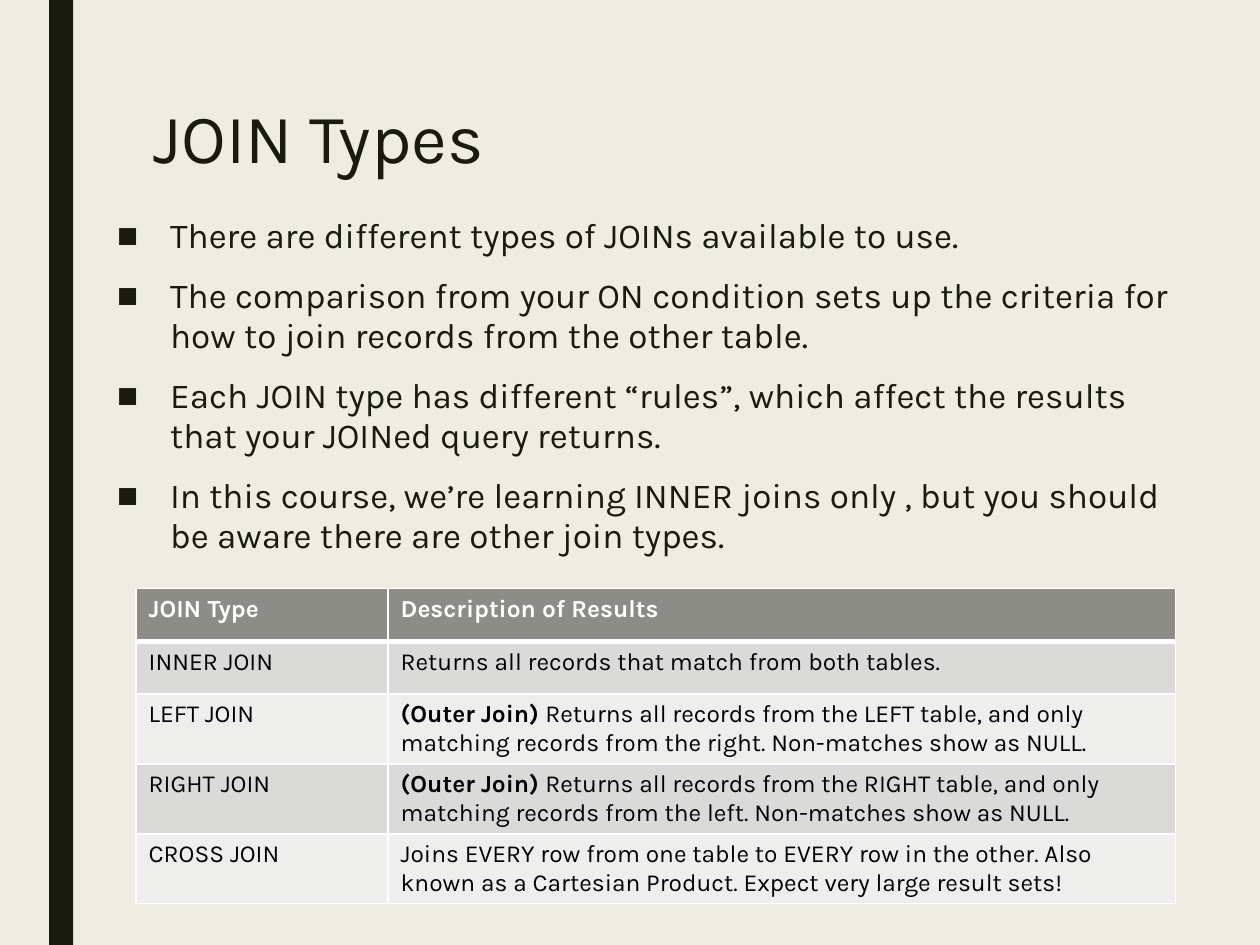
"""Build the JOIN Types slide with a bulleted list and a table of join rules."""
from dataclasses import dataclass

from lxml.etree import SubElement
from pptx import Presentation
from pptx.dml.color import RGBColor
from pptx.enum.shapes import MSO_SHAPE
from pptx.enum.text import MSO_ANCHOR, MSO_AUTO_SIZE, PP_ALIGN
from pptx.oxml.ns import qn
from pptx.util import Inches, Pt

COLORS = {
    "background": "EFEDE3",
    "ink": "191B0E",
    "header": "8C8D86",
    "odd": "DADBD9",
    "even": "EEEEED",
    "white": "FFFFFF",
    "black": "000000",
}
FONT = "Karla"
BULLET_FORMAT = {"line_spacing": 0.94, "space_before": Pt(10), "space_after": Pt(2)}
TITLE_FORMAT = {"line_spacing": 0.89, "alignment": PP_ALIGN.LEFT}
BULLETS = [
    "There are different types of JOINs available to use.",
    "The comparison from your ON condition sets up the criteria for how to join "
    "records from the other table.",
    "Each JOIN type has different “rules”, which affect the results that your "
    "JOINed query returns.",
    "In this course, we’re learning INNER joins only , but you should be aware "
    "there are other join types.",
]


@dataclass
class JoinRow:
    name: str
    description: str
    lead: str = ""
    height: float = 0.55


ROWS = [
    JoinRow("JOIN Type", "Description of Results", height=0.42),
    JoinRow("INNER JOIN", "Returns all records that match from both tables.", height=0.42),
    JoinRow(
        "LEFT JOIN",
        "Returns all records from the LEFT table, and only matching records from "
        "the right. Non-matches show as NULL.",
        "(Outer Join) ",
    ),
    JoinRow(
        "RIGHT JOIN",
        "Returns all records from the RIGHT table, and only matching records from "
        "the left. Non-matches show as NULL.",
        "(Outer Join) ",
    ),
    JoinRow(
        "CROSS JOIN",
        "Joins EVERY row from one table to EVERY row in the other. Also known as "
        "a Cartesian Product. Expect very large result sets!",
    ),
]


def color(name: str) -> RGBColor:
    return RGBColor.from_string(COLORS[name])


def apply(target, values: dict) -> None:
    for name, value in values.items():
        setattr(target, name, value)


def place(shape, left: float, top: float, width: float, height: float) -> None:
    apply(shape, {
        "left": Inches(left), "top": Inches(top),
        "width": Inches(width), "height": Inches(height),
    })


def add_span(para, text: str, size: float, ink: str, bold: bool = False) -> None:
    span = para.add_run()
    span.text = text
    apply(span.font, {"name": FONT, "size": Pt(size), "bold": bold})
    span.font.color.rgb = color(ink)


def add_bullet(para, text: str) -> None:
    apply(para, BULLET_FORMAT)
    add_span(para, text, 20, "ink")
    properties = para._p.get_or_add_pPr()
    properties.set("marL", str(Inches(0.42)))
    properties.set("indent", str(-Inches(0.42)))
    SubElement(properties, qn("a:buFont"), typeface="Arial")
    SubElement(properties, qn("a:buChar"), char="■")


def add_borders(cell, top: float, bottom: float) -> None:
    properties = cell._tc.get_or_add_tcPr()
    for side, width in {"L": 1, "R": 1, "T": top, "B": bottom}.items():
        line = SubElement(properties, qn(f"a:ln{side}"), w=str(Pt(width)))
        fill = SubElement(line, qn("a:solidFill"))
        SubElement(fill, qn("a:srgbClr"), val=COLORS["white"])


def fill_row(table, index: int, row: JoinRow) -> None:
    is_header = index == 0
    band = "header" if is_header else "odd" if index % 2 else "even"
    ink = "white" if is_header else "black"
    table.rows[index].height = Inches(row.height)
    for column, text in enumerate((row.name, row.description)):
        cell = table.cell(index, column)
        add_borders(cell, 3 if index == 1 else 1, 3 if is_header else 1)
        cell.fill.solid()
        cell.fill.fore_color.rgb = color(band)
        para = cell.text_frame.paragraphs[0]
        if column and row.lead:
            add_span(para, row.lead, 14, ink, bold=True)
        add_span(para, text, 14, ink, bold=is_header)


def add_join_table(page) -> None:
    height = sum(row.height for row in ROWS)
    table = page.shapes.add_table(
        len(ROWS), 2, Inches(1.08), Inches(4.67), Inches(8.25), Inches(height)
    ).table
    for column, width in zip(table.columns, (2, 6.25)):
        column.width = Inches(width)
    for index, row in enumerate(ROWS):
        fill_row(table, index, row)


def add_side_bar(page) -> None:
    bar = page.shapes.add_shape(
        MSO_SHAPE.RECTANGLE, Inches(0.39), 0, Inches(0.19), Inches(7.5)
    )
    bar.shadow.inherit = False
    bar.fill.solid()
    bar.fill.fore_color.rgb = color("ink")
    bar.line.fill.background()


def add_title(page) -> None:
    title = page.shapes.title
    place(title, 1.12, 0.75, 7.88, 0.75)
    apply(title.text_frame, {
        "auto_size": MSO_AUTO_SIZE.NONE, "vertical_anchor": MSO_ANCHOR.MIDDLE,
    })
    para = title.text_frame.paragraphs[0]
    apply(para, TITLE_FORMAT)
    add_span(para, "JOIN Types", 39.6, "ink")


def add_body(page) -> None:
    body = page.placeholders[1]
    place(body, 0.83, 1.67, 8.58, 5.42)
    frame = body.text_frame
    apply(frame, {"auto_size": MSO_AUTO_SIZE.NONE, "vertical_anchor": MSO_ANCHOR.TOP})
    for index, text in enumerate(BULLETS):
        add_bullet(frame.add_paragraph() if index else frame.paragraphs[0], text)


def main() -> None:
    deck = Presentation()
    apply(deck, {"slide_width": Inches(10), "slide_height": Inches(7.5)})
    page = deck.slides.add_slide(deck.slide_layouts[1])
    page.background.fill.solid()
    page.background.fill.fore_color.rgb = color("background")
    add_side_bar(page)
    add_title(page)
    add_body(page)
    add_join_table(page)
    deck.save("out.pptx")


if __name__ == "__main__":
    main()
